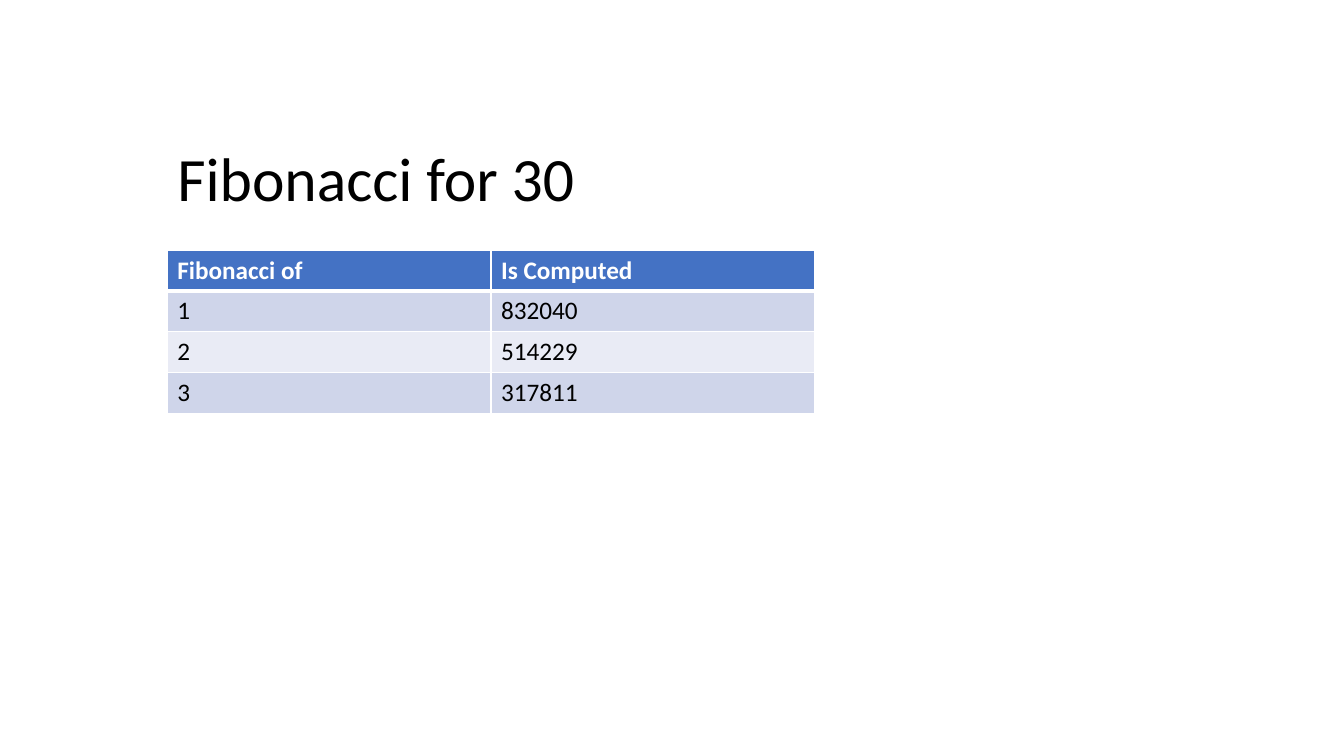
from dataclasses import dataclass

from lxml import etree
from pptx import Presentation
from pptx import util as u
from pptx.dml import color
from pptx.enum import text
from pptx.oxml import ns


@dataclass(frozen=True)
class Theme:
    font: str = "Calibri"
    title_size: int = 44
    body_size: int = 18
    ink: str = "000000"
    white: str = "FFFFFF"
    header: str = "4472C4"
    bands: tuple = ("CFD5EA", "E9EBF5")
    thin: int = 1
    thick: int = 3


class SlideBuilder:
    def __init__(self, slide, theme):
        self.s = slide
        self.theme = theme

    def add_text(self, tf, content, size, rgb, bold=False):
        r = tf.paragraphs[0].add_run()
        r.text = content
        formats = {"name": self.theme.font, "size": u.Pt(size), "bold": bold}
        for name, value in formats.items():
            setattr(r.font, name, value)
        r.font.color.rgb = color.RGBColor.from_string(rgb)

    def title(self, content, left, top, width, height):
        box = map(u.Inches, (left, top, width, height))
        tf = self.s.shapes.add_textbox(*box).text_frame
        formats = {"word_wrap": True, "auto_size": text.MSO_AUTO_SIZE.SHAPE_TO_FIT_TEXT}
        for name, value in formats.items():
            setattr(tf, name, value)
        self.add_text(tf, content, self.theme.title_size, self.theme.ink)

    def border(self, cell, side, width):
        tc_pr = cell._tc.get_or_add_tcPr()
        ln = etree.SubElement(tc_pr, ns.qn(f"a:ln{side}"), w=str(u.Pt(width)))
        fill = etree.SubElement(ln, ns.qn("a:solidFill"))
        etree.SubElement(fill, ns.qn("a:srgbClr"), val=self.theme.white)

    def cell(self, cell, content, row):
        t = self.theme
        is_header = row == 0
        widths = {"L": t.thin, "R": t.thin,
                  "T": t.thick if row == 1 else t.thin,
                  "B": t.thick if is_header else t.thin}
        for side, width in widths.items():
            self.border(cell, side, width)
        cell.fill.solid()
        fill = t.header if is_header else t.bands[(row - 1) % len(t.bands)]
        cell.fill.fore_color.rgb = color.RGBColor.from_string(fill)
        self.add_text(cell.text_frame, content, t.body_size,
                      t.white if is_header else t.ink, is_header)

    def table(self, rows, left, top, width, height):
        box = map(u.Inches, (left, top, width, height))
        table = self.s.shapes.add_table(len(rows), len(rows[0]), *box).table
        for i, row in enumerate(rows):
            for j, content in enumerate(row):
                self.cell(table.cell(i, j), content, i)


def main():
    prs = Presentation()
    prs.slide_width = u.Inches(13.33)
    prs.slide_height = u.Inches(7.5)
    slide = SlideBuilder(prs.slides.add_slide(prs.slide_layouts[6]), Theme())
    slide.title("Fibonacci for 30", 1.66, 1.34, 8.31, 0.84)
    slide.table([
        ("Fibonacci of", "Is Computed"),
        ("1", "832040"),
        ("2", "514229"),
        ("3", "317811"),
    ], 1.66, 2.48, 6.42, 1.62)
    prs.save("out.pptx")


if __name__ == "__main__":
    main()
